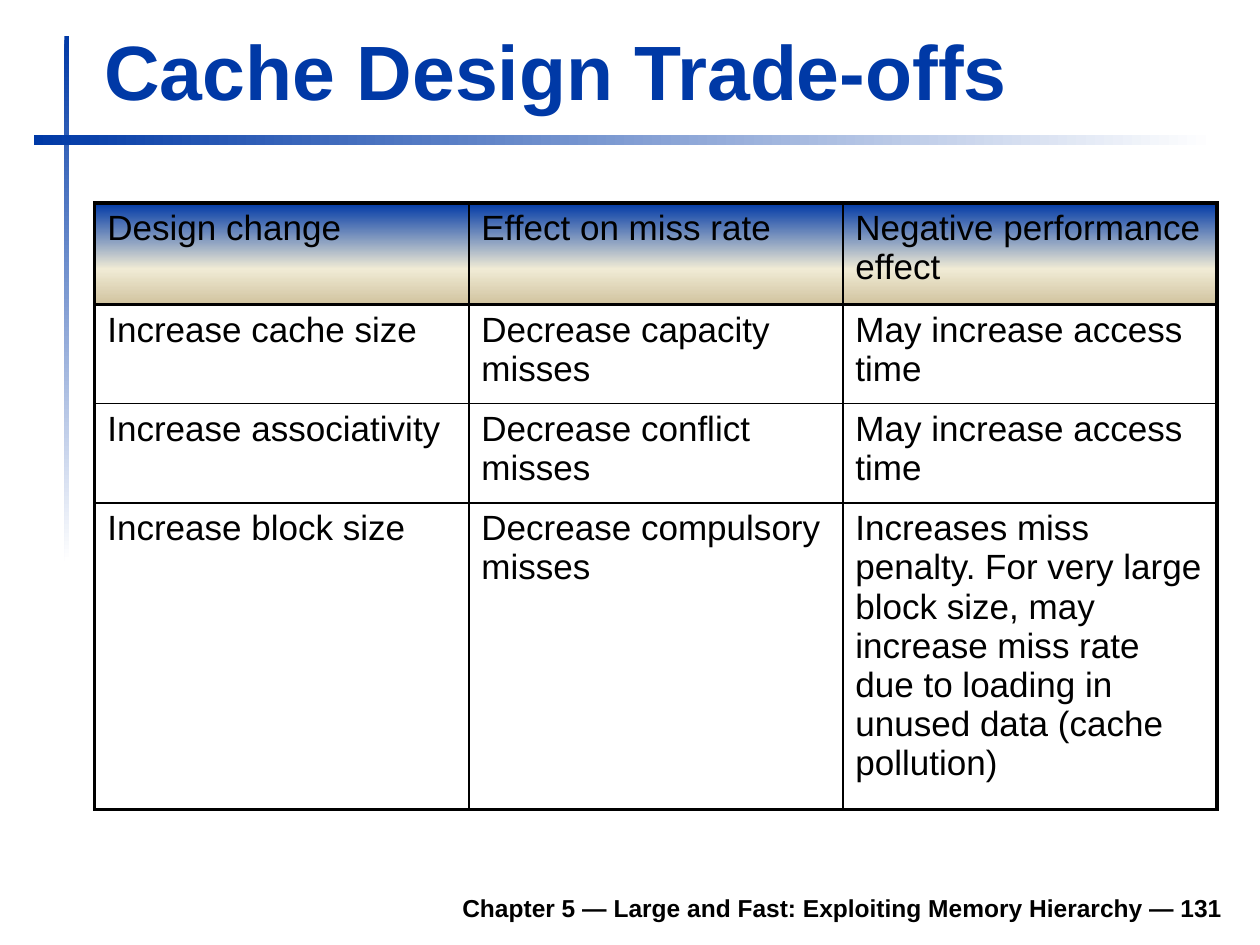
import copy
import pptx
import pptx.util
import pptx.dml.color
import pptx.enum.shapes
import pptx.enum.text
import pptx.oxml
import pptx.oxml.ns

Cm = pptx.util.Cm
Pt = pptx.util.Pt
RGBColor = pptx.dml.color.RGBColor
BLUE = RGBColor(0x00, 0x39, 0xA6)
WHITE = RGBColor(0xFF, 0xFF, 0xFF)
BLACK = RGBColor(0x00, 0x00, 0x00)
CREAM = RGBColor(0xF0, 0xEB, 0xD5)
TAN = RGBColor(0xD1, 0xC3, 0x9F)


def fill_gradient(fill, element, angle, stops):
    fill.gradient()
    fill.gradient_angle = angle
    stop_list = next(element.iter(pptx.oxml.ns.qn("a:gsLst")))
    while len(stop_list) < len(stops):
        stop_list.append(copy.deepcopy(stop_list[-1]))
    for stop, (position, color) in zip(fill.gradient_stops, stops):
        stop.position = position
        stop.color.rgb = color


def format_text(frame, size, color, bold, alignment):
    frame.word_wrap = True
    for paragraph in frame.paragraphs:
        paragraph.alignment = alignment
        for run in paragraph.runs:
            run.font.name = "Arial"
            run.font.size = Pt(size)
            run.font.bold = bold
            run.font.color.rgb = color


presentation = pptx.Presentation()
presentation.slide_width = Cm(25.4)
presentation.slide_height = Cm(19.05)
slide = presentation.slides.add_slide(presentation.slide_layouts[5])
LEFT = pptx.enum.text.PP_ALIGN.LEFT
RIGHT = pptx.enum.text.PP_ALIGN.RIGHT
BOTTOM = pptx.enum.text.MSO_ANCHOR.BOTTOM

for left, top, width, height, angle in [
    (1.3, 0.72, 0.1, 10.6, 270),
    (0.69, 2.72, 23.8, 0.2, 0),
]:
    rule = slide.shapes.add_shape(
        pptx.enum.shapes.MSO_SHAPE.RECTANGLE, Cm(left), Cm(top), Cm(width), Cm(height)
    )
    rule.shadow.inherit = False
    rule.line.fill.background()
    fill_gradient(rule.fill, rule._element, angle, [(0, BLUE), (1, WHITE)])

title = slide.shapes.title
title.left, title.top, title.width, title.height = Cm(1.85), Cm(0.33), Cm(21.65), Cm(2.13)
title.text_frame.text = "Cache Design Trade-offs"
title.text_frame.vertical_anchor = BOTTOM
title.text_frame.auto_size = pptx.enum.text.MSO_AUTO_SIZE.SHAPE_TO_FIT_TEXT
format_text(title.text_frame, 44, BLUE, True, LEFT)

footer = slide.shapes.add_textbox(Cm(4.7), Cm(17.73), Cm(20.2), Cm(0.99))
footer.text_frame.text = "Chapter 5 — Large and Fast: Exploiting Memory Hierarchy — 131"
footer.text_frame.vertical_anchor = BOTTOM
format_text(footer.text_frame, 14, BLACK, True, RIGHT)

tradeoffs = [
    ("Design change", "Effect on miss rate", "Negative performance effect"),
    ("Increase cache size", "Decrease capacity misses", "May increase access time"),
    ("Increase associativity", "Decrease conflict misses", "May increase access time"),
    (
        "Increase block size",
        "Decrease compulsory misses",
        "Increases miss penalty. For very large block size, may increase miss rate "
        "due to loading in unused data (cache pollution)",
    ),
]
row_heights = [2.05, 2, 2, 6.17]
column_borders = [2.25, 1, 1, 2.25]
row_borders = [2.25, 1.5, 1, 1, 2.25]

table = slide.shapes.add_table(4, 3, Cm(1.91), Cm(4.09), Cm(22.62), Cm(sum(row_heights))).table
for column in table.columns:
    column.width = Cm(7.54)
for row_index, texts in enumerate(tradeoffs):
    table.rows[row_index].height = Cm(row_heights[row_index])
    for column_index, text in enumerate(texts):
        cell = table.cell(row_index, column_index)
        cell.text_frame.text = text
        format_text(cell.text_frame, 20, BLACK, False, LEFT)
        cell.fill.background()
        properties = cell._tc.tcPr
        if row_index == 0:
            fill_gradient(cell.fill, properties, 270, [(0, BLUE), (0.65, CREAM), (1, TAN)])
        borders = [
            ("lnL", column_borders[column_index]),
            ("lnR", column_borders[column_index + 1]),
            ("lnT", row_borders[row_index]),
            ("lnB", row_borders[row_index + 1]),
        ]
        for order, (tag, width) in enumerate(borders):
            border = pptx.oxml.parse_xml(
                f'<a:{tag} {pptx.oxml.ns.nsdecls("a")} w="{Pt(width)}">'
                f'<a:solidFill><a:srgbClr val="{BLACK}"/></a:solidFill></a:{tag}>'
            )
            properties.insert(order, border)

presentation.save("out.pptx")
